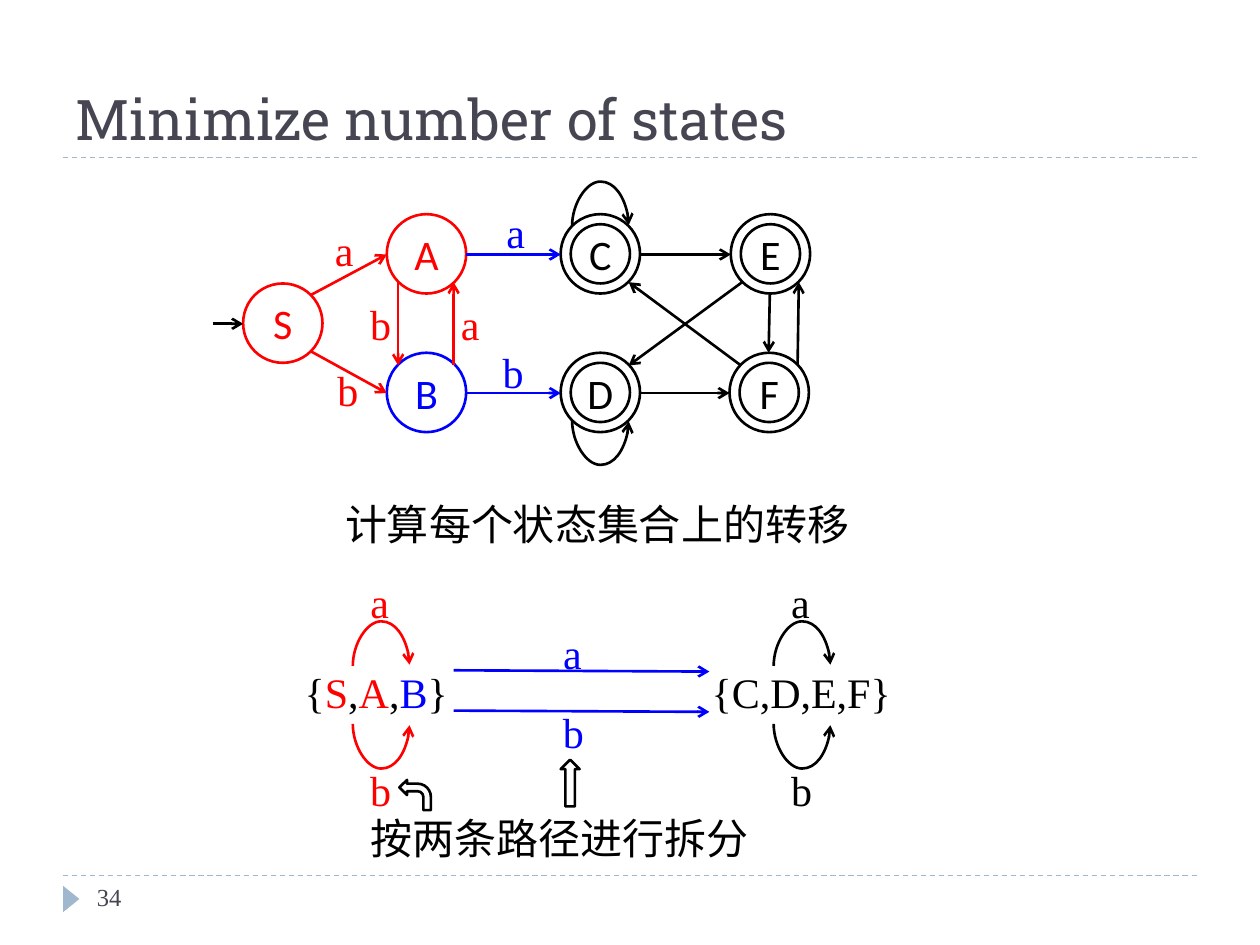
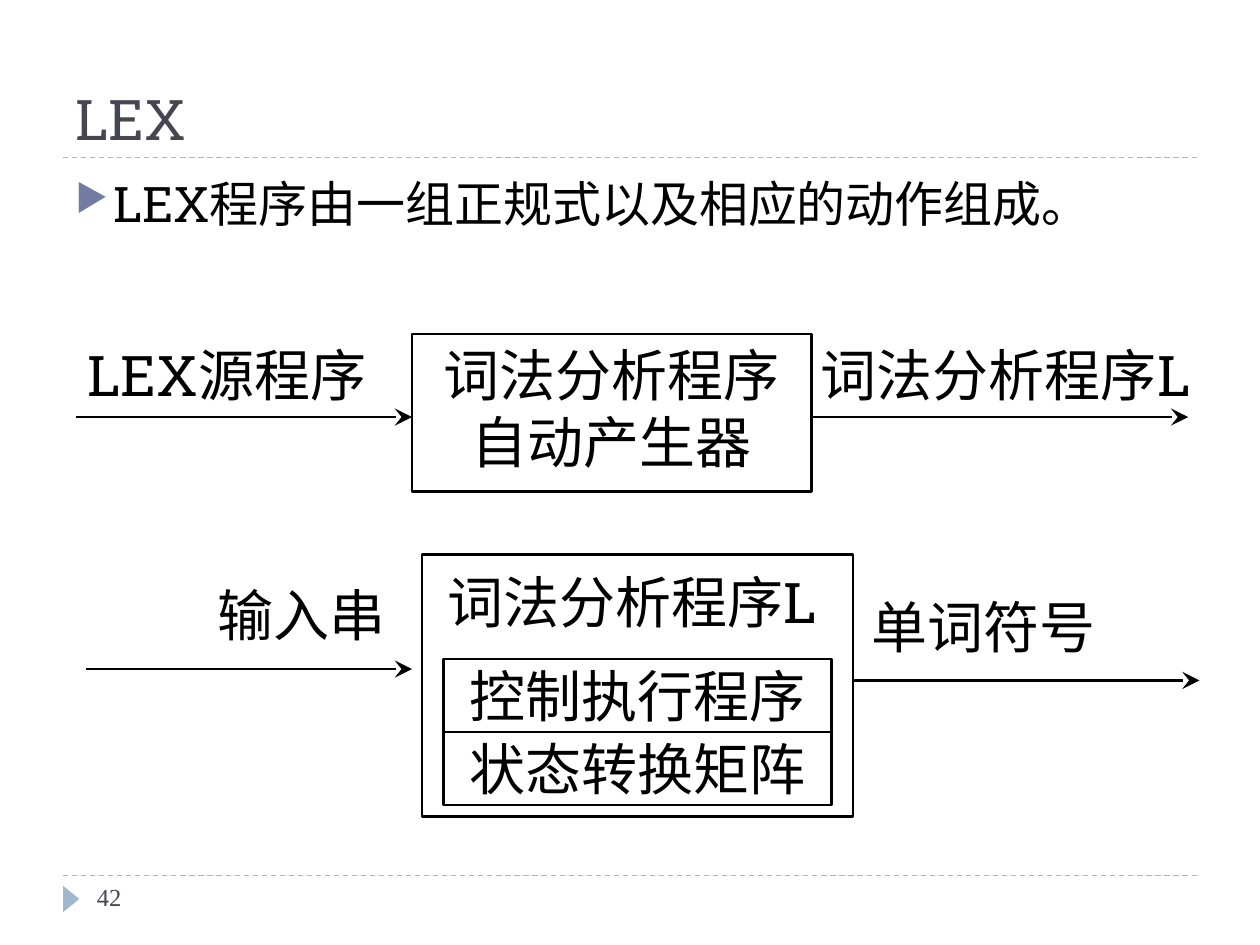
from lxml import etree
from pptx import Presentation
from pptx.dml.color import RGBColor
from pptx.enum.dml import MSO_LINE
from pptx.enum.shapes import MSO_CONNECTOR, MSO_SHAPE
from pptx.enum.text import MSO_ANCHOR, MSO_AUTO_SIZE, PP_ALIGN
from pptx.oxml.ns import qn
from pptx.util import Inches, Pt

BLACK = RGBColor(0x00, 0x00, 0x00)
RED = RGBColor(0xFF, 0x00, 0x00)
BLUE = RGBColor(0x00, 0x00, 0xFF)
SLATE = RGBColor(0x46, 0x46, 0x53)
PALE_BLUE = RGBColor(0x9F, 0xB8, 0xCD)
BULLET = RGBColor(0x72, 0x7C, 0xA3)

SERIF = "Times New Roman"
SLAB = "Roboto Slab"
SANS = "Calibri"
CHINESE = "Noto Sans CJK SC"

STATE = 0.63       # diameter of a state
RING_GAP = 0.08    # from outer to inner ring of a final state
LOOP_SPAN = 0.45
LOOP_RISE = 0.36


# Text
def write(shape, text, size, font, color=BLACK, align=PP_ALIGN.LEFT,
          anchor=MSO_ANCHOR.TOP, wrap=True):
    """Text is a string, or a list of (string, colour) pairs."""
    frame = shape.text_frame
    frame.word_wrap = wrap
    frame.vertical_anchor = anchor
    para = frame.paragraphs[0]
    para.alignment = align
    para.font.size = Pt(size)
    para.font.name = font
    if isinstance(text, str):
        para.font.color.rgb = color
        text = [(text, None)]
    for words, span_color in text:
        span = para.add_run()
        span.text = words
        if span_color is not None:
            span.font.color.rgb = span_color
    defaults = para._p.pPr.find(qn("a:defRPr"))
    etree.SubElement(defaults, qn("a:ea"), typeface=CHINESE)
    return para


def add_text(page, at, text, size, font, **style):
    box = page.shapes.add_textbox(*[Inches(n) for n in at])
    write(box, text, size, font, **style)
    return box


def add_label(page, left, top, text, width=None, color=BLACK):
    if width is None:
        width = 0.35 if text == "a" else 0.37
    box = add_text(page, (left, top, width, 0.5), text, 24, SERIF,
                   color=color, wrap=False)
    box.text_frame.auto_size = MSO_AUTO_SIZE.SHAPE_TO_FIT_TEXT


def add_bullet(para):
    props = para._p.pPr
    props.set("marL", str(Inches(0.3)))
    props.set("indent", str(-Inches(0.3)))
    para.space_before = Pt(6)
    tint = etree.Element(qn("a:buClr"))
    etree.SubElement(tint, qn("a:srgbClr"), val=str(BULLET))
    size = etree.Element(qn("a:buSzPct"), val="76000")
    mark = etree.Element(qn("a:buChar"), char="▶")
    for part in (tint, size, mark):
        props.find(qn("a:defRPr")).addprevious(part)


# Shapes and lines
def add_outline(page, kind, at, color=BLACK):
    shape = page.shapes.add_shape(kind, *[Inches(n) for n in at])
    shape.shadow.inherit = False
    shape.fill.background()
    shape.line.color.rgb = color
    shape.line.width = Pt(1.5)
    return shape


def add_line(page, start, end, color=BLACK, width=1.5, head=None,
             head_size="med", kind=MSO_CONNECTOR.STRAIGHT):
    line = page.shapes.add_connector(
        kind, *[Inches(n) for n in (*start, *end)])
    line.line.color.rgb = color
    line.line.width = Pt(width)
    props = line._element.spPr
    if head:
        etree.SubElement(props.find(qn("a:ln")), qn("a:tailEnd"), type=head,
                         w=head_size, len=head_size)
    etree.SubElement(props, qn("a:effectLst"))
    return line


def add_loop(page, left, level, up, color=BLACK):
    """Curved arrow from left to right, bulging up or down from a level."""
    middle = left + LOOP_SPAN / 2
    ends = [level - LOOP_SPAN / 2, level + LOOP_SPAN / 2]
    if not up:
        ends.reverse()
    depth = 0.01
    loop = add_line(page, (middle - depth / 2, ends[0]),
                    (middle + depth / 2, ends[1]), color,
                    head="arrow", kind=MSO_CONNECTOR.CURVE)
    props = loop._element.spPr
    turn = 270 if up else 90
    props.find(qn("a:xfrm")).set("rot", str(turn * 60000))
    guides = props.find(qn("a:prstGeom")).find(qn("a:avLst"))
    bulge = round(LOOP_RISE / depth * 100000)
    etree.SubElement(guides, qn("a:gd"), name="adj1", fmla=f"val {bulge}")


def add_state(page, name, left, top, color=BLACK, final=False):
    circle = add_outline(page, MSO_SHAPE.OVAL, (left, top, STATE, STATE), color)
    write(circle, name, 24, SANS, color=color, align=PP_ALIGN.CENTER,
          anchor=MSO_ANCHOR.MIDDLE)
    if final:
        inner = STATE - 2 * RING_GAP
        add_outline(page, MSO_SHAPE.OVAL,
                    (left + RING_GAP, top + RING_GAP, inner, inner))


# Parts that every slide shares
def start_page(deck, title, number):
    page = deck.slides.add_slide(deck.slide_layouts[6])
    for level in (6.95, 1.25):
        rule = add_line(page, (0.5, level), (9.5, level), PALE_BLUE, 0.75)
        rule.line.dash_style = MSO_LINE.DASH
    marker = add_outline(page, MSO_SHAPE.ISOSCELES_TRIANGLE,
                         (0.46, 7.07, 0.21, 0.13))
    marker.rotation = 90
    marker.fill.solid()
    marker.fill.fore_color.rgb = PALE_BLUE
    marker.line.fill.background()
    add_text(page, (0.5, 0.17, 9, 1.08), title, 32, SLAB, color=SLATE,
             anchor=MSO_ANCHOR.BOTTOM)
    add_text(page, (0.67, 6.95, 2.17, 0.4), number, 14, SERIF, color=SLATE)
    return page


def build_automaton(page):
    # States
    for name, left, top, color, final in [
            ("S", 1.93, 2.25, RED, False), ("A", 3.07, 1.7, RED, False),
            ("B", 3.07, 2.8, BLUE, False), ("C", 4.45, 1.7, BLACK, True),
            ("D", 4.45, 2.8, BLACK, True), ("E", 5.8, 1.7, BLACK, True),
            ("F", 5.79, 2.8, BLACK, True)]:
        add_state(page, name, left, top, color, final)

    # Transitions
    for start, end, color in [
            ((1.69, 2.57), (1.93, 2.57), BLACK),
            ((2.47, 2.34), (3.07, 2.02), RED),
            ((2.47, 2.79), (3.07, 3.12), RED),
            ((3.16, 2.24), (3.16, 2.9), RED),
            ((3.6, 2.9), (3.6, 2.24), RED),
            ((3.7, 2.02), (4.45, 2.02), BLUE),
            ((3.7, 3.12), (4.45, 3.12), BLUE),
            ((5.08, 2.02), (5.8, 2.02), BLACK),
            ((5.08, 3.12), (5.79, 3.12), BLACK),
            ((5.88, 2.9), (4.99, 2.24), BLACK),
            ((5.89, 2.24), (4.99, 2.9), BLACK),
            ((6.11, 2.33), (6.1, 2.8), BLACK),
            ((6.33, 2.9), (6.34, 2.24), BLACK)]:
        add_line(page, start, end, color, head="arrow")
    add_loop(page, 4.54, 1.79, True)
    add_loop(page, 4.54, 3.34, False)
    for text, left, top, color in [
            ("a", 2.56, 1.73, RED), ("b", 2.58, 2.84, RED),
            ("b", 2.84, 2.32, RED), ("a", 3.56, 2.32, RED),
            ("a", 3.92, 1.59, BLUE), ("b", 3.89, 2.7, BLUE)]:
        add_label(page, left, top, text, color=color)


def build_state_sets(page):
    add_label(page, 2.64, 3.91, "计算每个状态集合上的转移", 4.2)
    add_label(page, 2.32, 5.24, [
        ("{", BLACK), ("S", RED), (",", BLACK), ("A", RED), (",", BLACK),
        ("B", BLUE), ("}", BLACK)], 1.36)
    add_label(page, 5.55, 5.24, "{C,D,E,F}", 1.62)

    # Moves inside each set
    for left, color in ((2.8, RED), (6.14, BLACK)):
        add_loop(page, left, 5.28, True, color)
        add_loop(page, left, 5.75, False, color)
        add_label(page, left + 0.04, 4.53, "a", color=color)
        add_label(page, left + 0.04, 6.02, "b", color=color)

    # Moves between the sets
    for text, level, top in (("a", 5.32, 4.93), ("b", 5.64, 5.56)):
        add_line(page, (3.6, level), (5.63, level + 0.01), BLUE, head="arrow")
        add_label(page, 4.37, top, text, color=BLUE)

    # Split note and its pointers
    add_label(page, 2.84, 6.4, "按两条路径进行拆分", 3.2)
    add_outline(page, MSO_SHAPE.UP_ARROW, (4.45, 6.03, 0.15, 0.37))
    bent = add_outline(page, MSO_SHAPE.BENT_ARROW, (3.17, 6.19, 0.25, 0.24))
    bent._element.spPr.find(qn("a:xfrm")).set("flipH", "1")


def build_lex(page):
    center = PP_ALIGN.CENTER
    body = add_text(page, (0.5, 1.33, 9, 5.4),
                    "LEX程序由一组正规式以及相应的动作组成。", 28, SLAB)
    add_bullet(body.text_frame.paragraphs[0])

    # Generator and analyser boxes
    generator = add_outline(page, MSO_SHAPE.RECTANGLE, (3.27, 2.65, 3.17, 1.25))
    write(generator, "词法分析程序自动产生器", 32, CHINESE, align=center)
    analyser = add_outline(page, MSO_SHAPE.RECTANGLE, (3.35, 4.4, 3.42, 2.08))
    heading = write(analyser, " 词法分析程序L", 32, SLAB,
                    align=PP_ALIGN.JUSTIFY)
    heading.line_spacing = 1.1
    for row, text in enumerate(("控制执行程序", "状态转换矩阵")):
        part = add_outline(page, MSO_SHAPE.RECTANGLE,
                           (3.52, 5.23 + row * 0.58, 3.08, 0.58))
        write(part, text, 32, CHINESE, align=center,
              anchor=MSO_ANCHOR.MIDDLE, wrap=False)

    # Inputs and outputs
    for text, left, top, width, start, end, level in [
            ("LEX源程序", 0.43, 2.65, 2.75, 0.6, 3.27, 3.31),
            ("词法分析程序L", 6.27, 2.65, 3.42, 6.43, 9.43, 3.31),
            ("输入串", 1.02, 4.56, 2.75, 0.68, 3.27, 5.31),
            ("单词符号", 6.43, 4.65, 2.75, 6.77, 9.52, 5.4)]:
        add_text(page, (left, top, width, 0.67), text, 32, SLAB, align=center)
        add_line(page, (start, level), (end, level), head="stealth",
                 head_size="lg")


def main():
    deck = Presentation()
    deck.slide_width = Inches(10)
    deck.slide_height = Inches(7.5)

    page = start_page(deck, "Minimize number of states", "34")
    build_automaton(page)
    build_state_sets(page)

    build_lex(start_page(deck, "LEX", "42"))
    deck.save("out.pptx")


main()
